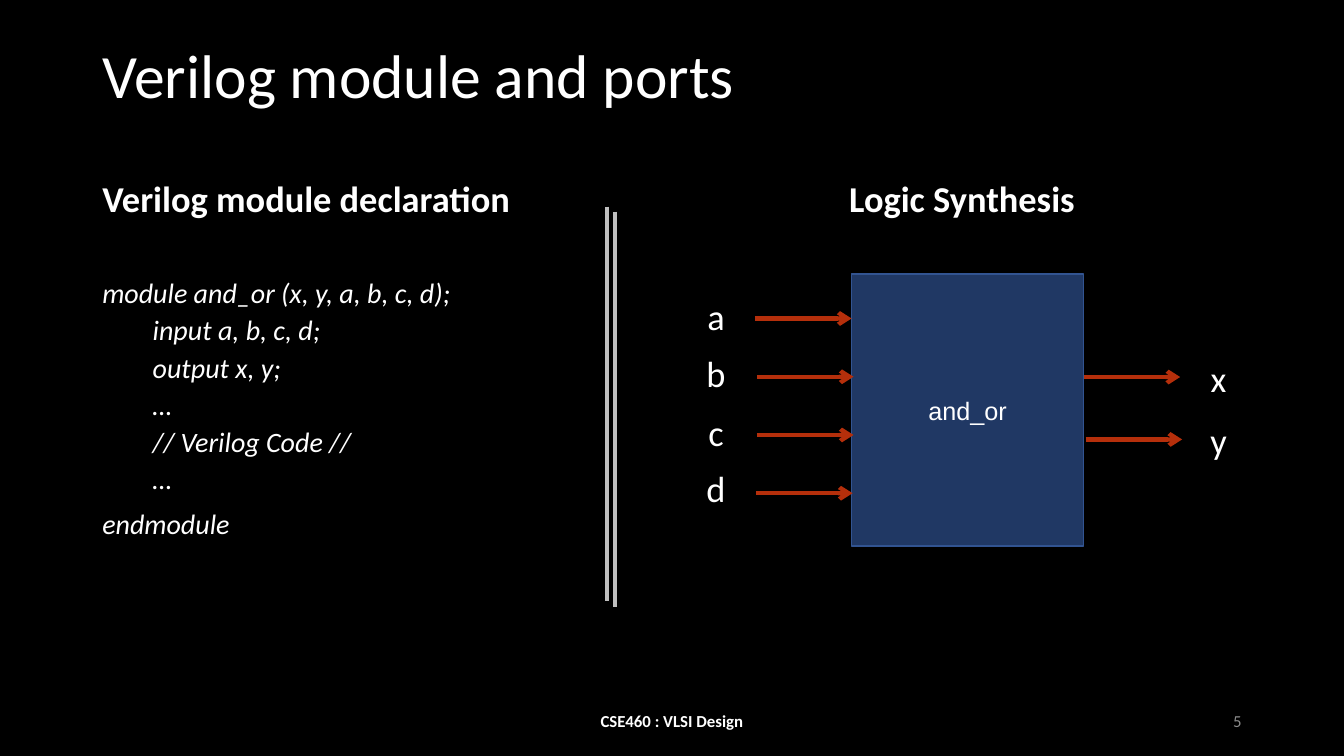
from dataclasses import dataclass, field

from lxml.etree import SubElement
from pptx import Presentation
from pptx.dml.color import RGBColor
from pptx.enum.shapes import MSO_CONNECTOR, MSO_SHAPE
from pptx.enum.text import MSO_ANCHOR, MSO_AUTO_SIZE, PP_ALIGN
from pptx.oxml.ns import qn
from pptx.slide import Slide
from pptx.text.text import TextFrame
from pptx.util import Pt

BLACK = RGBColor(0x00, 0x00, 0x00)
WHITE = RGBColor(0xFF, 0xFF, 0xFF)
GREY = RGBColor(0x8C, 0x8C, 0x8C)
SILVER = RGBColor(0xBF, 0xBF, 0xBF)
NAVY = RGBColor(0x20, 0x38, 0x64)
EDGE = RGBColor(0x32, 0x54, 0x91)
RUST = RGBColor(0xB5, 0x2F, 0x0B)

HEAD = {"size": Pt(26), "bold": True}
CODE = {"size": Pt(20), "italic": True}
TIGHT = {"line_spacing": 0.9}
MID = {"alignment": PP_ALIGN.CENTER}


@dataclass
class Line:
    text: str
    font: dict
    para: dict = field(default_factory=dict)
    color: RGBColor = WHITE
    indent: float = 0


@dataclass
class Box:
    left: float
    top: float
    width: float
    height: float
    lines: list[Line]
    anchor: MSO_ANCHOR = MSO_ANCHOR.MIDDLE


@dataclass
class Port:
    name: str
    start: float
    level: float
    left: float
    top: float


@dataclass
class Rule:
    left: float
    top: float
    right: float
    bottom: float
    color: RGBColor
    arrow: bool = False


def assign(target: object, values: dict) -> None:
    for name, value in values.items():
        setattr(target, name, value)


def write(frame: TextFrame, lines: list[Line], anchor: MSO_ANCHOR) -> None:
    assign(frame, {"word_wrap": True, "auto_size": MSO_AUTO_SIZE.NONE,
                   "vertical_anchor": anchor})
    for i, line in enumerate(lines):
        para = frame.add_paragraph() if i else frame.paragraphs[0]
        assign(para, {"alignment": PP_ALIGN.LEFT} | line.para)
        if line.indent:
            props = para._p.get_or_add_pPr()
            props.set("marL", str(Pt(line.indent)))
            props.set("indent", "0")
        run = para.add_run()
        run.text = line.text
        assign(run.font, {"name": "Calibri"} | line.font)
        run.font.color.rgb = line.color


def add_box(slide: Slide, box: Box) -> None:
    area = map(Pt, (box.left, box.top, box.width, box.height))
    write(slide.shapes.add_textbox(*area).text_frame, box.lines, box.anchor)


def add_rule(slide: Slide, rule: Rule) -> None:
    ends = map(Pt, (rule.left, rule.top, rule.right, rule.bottom))
    link = slide.shapes.add_connector(MSO_CONNECTOR.STRAIGHT, *ends)
    link.line.width = Pt(3)
    link.line.color.rgb = rule.color
    if rule.arrow:
        SubElement(link.line._get_or_add_ln(), qn("a:tailEnd"), type="arrow")
    SubElement(link._element.spPr, qn("a:effectLst"))


def add_title(slide: Slide) -> None:
    title = slide.shapes.title
    assign(title, {"left": Pt(66), "top": Pt(28.8),
                   "width": Pt(828), "height": Pt(104.4)})
    write(title.text_frame,
          [Line("Verilog module and ports", {"size": Pt(44)}, TIGHT)],
          MSO_ANCHOR.TOP)


def add_block(slide: Slide) -> None:
    block = slide.shapes.add_shape(MSO_SHAPE.RECTANGLE, Pt(608.4), Pt(195.8),
                                   Pt(165.6), Pt(194.4))
    block.shadow.inherit = False
    block.fill.solid()
    block.fill.fore_color.rgb = NAVY
    block.line.color.rgb = EDGE
    block.line.width = Pt(1)
    name = Line("and_or", {"size": Pt(18), "name": "Arial"}, MID)
    write(block.text_frame, [name], MSO_ANCHOR.MIDDLE)


def add_port(slide: Slide, port: Port) -> None:
    add_rule(slide, Rule(port.start, port.level, port.start + 69, port.level,
                         RUST, True))
    label = Line(port.name, {"size": Pt(26)}, MID)
    add_box(slide, Box(port.left, port.top, 38.9, 38.9, [label]))


BODY = ["input a, b, c, d;", "output x, y;", "…", "// Verilog Code //", "…"]
LISTING = [
    Line("Verilog module declaration", HEAD, TIGHT),
    Line("module and_or (x, y, a, b, c, d);", CODE,
         TIGHT | {"space_before": Pt(42)}),
    *(Line(text, CODE, TIGHT | {"space_before": Pt(5)}, indent=36)
      for text in BODY),
    Line("endmodule", CODE, TIGHT | {"space_before": Pt(10)}),
]
BOXES = [
    Box(66, 126, 401, 328.3, LISTING, MSO_ANCHOR.TOP),
    Box(492.5, 126, 401, 328.3,
        [Line("Logic Synthesis", HEAD, TIGHT, indent=107)], MSO_ANCHOR.TOP),
    Box(318, 500.4, 324, 28.8,
        [Line("CSE460 : VLSI Design", {"size": Pt(12), "bold": True},
              MID | {"space_after": Pt(6)})]),
    Box(678, 500.4, 216, 28.8,
        [Line("5", {"size": Pt(12)}, {"alignment": PP_ALIGN.RIGHT}, GREY)]),
]
PORTS = [
    *(Port(name, start, 227.5 + 41.6 * i, 492, top)
      for i, (name, start, top) in enumerate([
          ("a", 539.3, 206.6), ("b", 540.7, 247),
          ("c", 540.7, 289.4), ("d", 540, 329)])),
    Port("x", 774, 269.3, 851, 250.6),
    Port("y", 775.4, 313.9, 851, 294.5),
]
BARS = [
    Rule(433.4, 147.6, 433.4, 429.1, SILVER),
    Rule(439.2, 151.2, 439.2, 433.4, SILVER),
]


def main() -> None:
    deck = Presentation()
    assign(deck, {"slide_width": Pt(960), "slide_height": Pt(540)})
    slide = deck.slides.add_slide(deck.slide_layouts[5])
    slide.background.fill.solid()
    slide.background.fill.fore_color.rgb = BLACK
    add_title(slide)
    add_block(slide)
    for box in BOXES:
        add_box(slide, box)
    for port in PORTS:
        add_port(slide, port)
    for bar in BARS:
        add_rule(slide, bar)
    deck.save("out.pptx")


if __name__ == "__main__":
    main()
